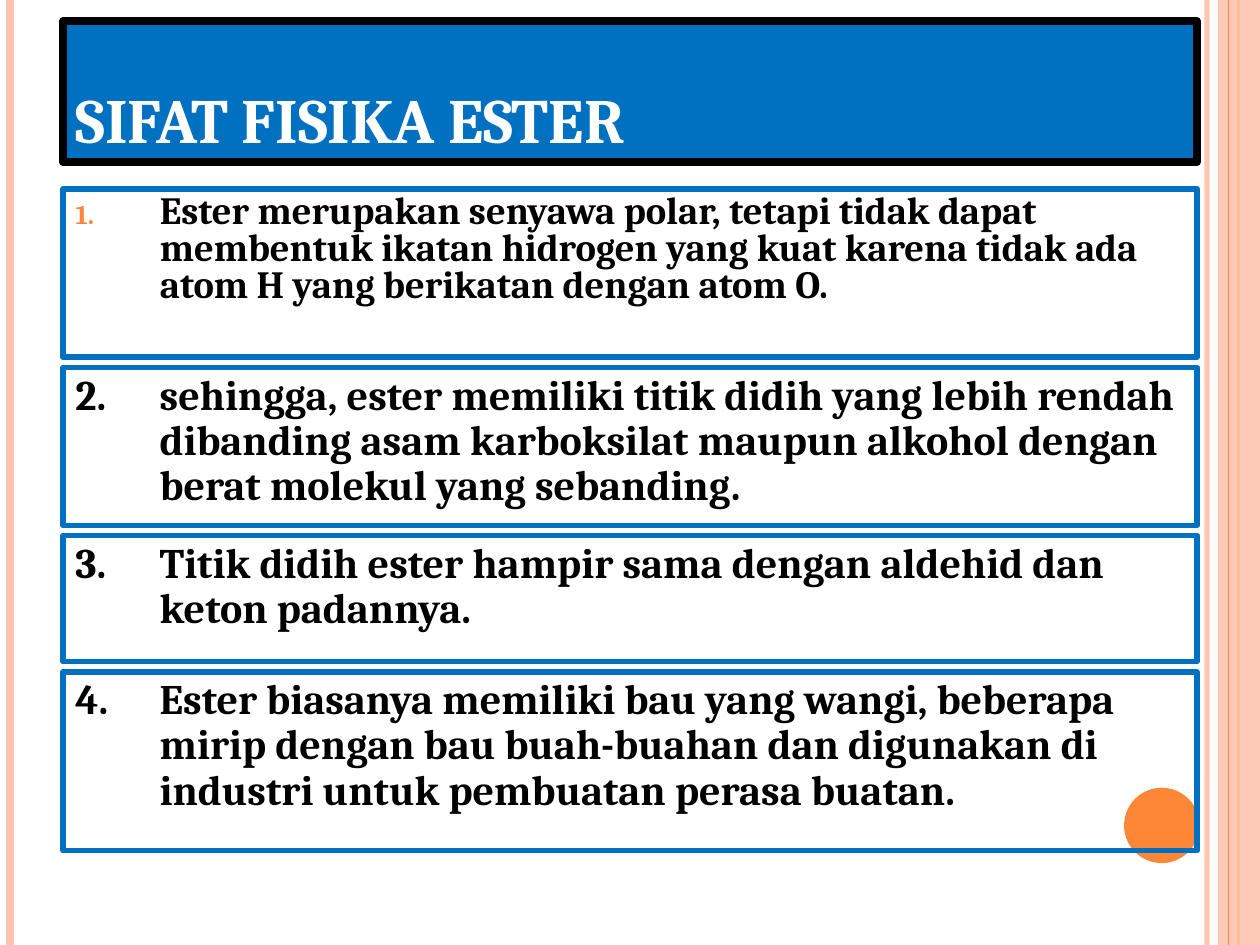
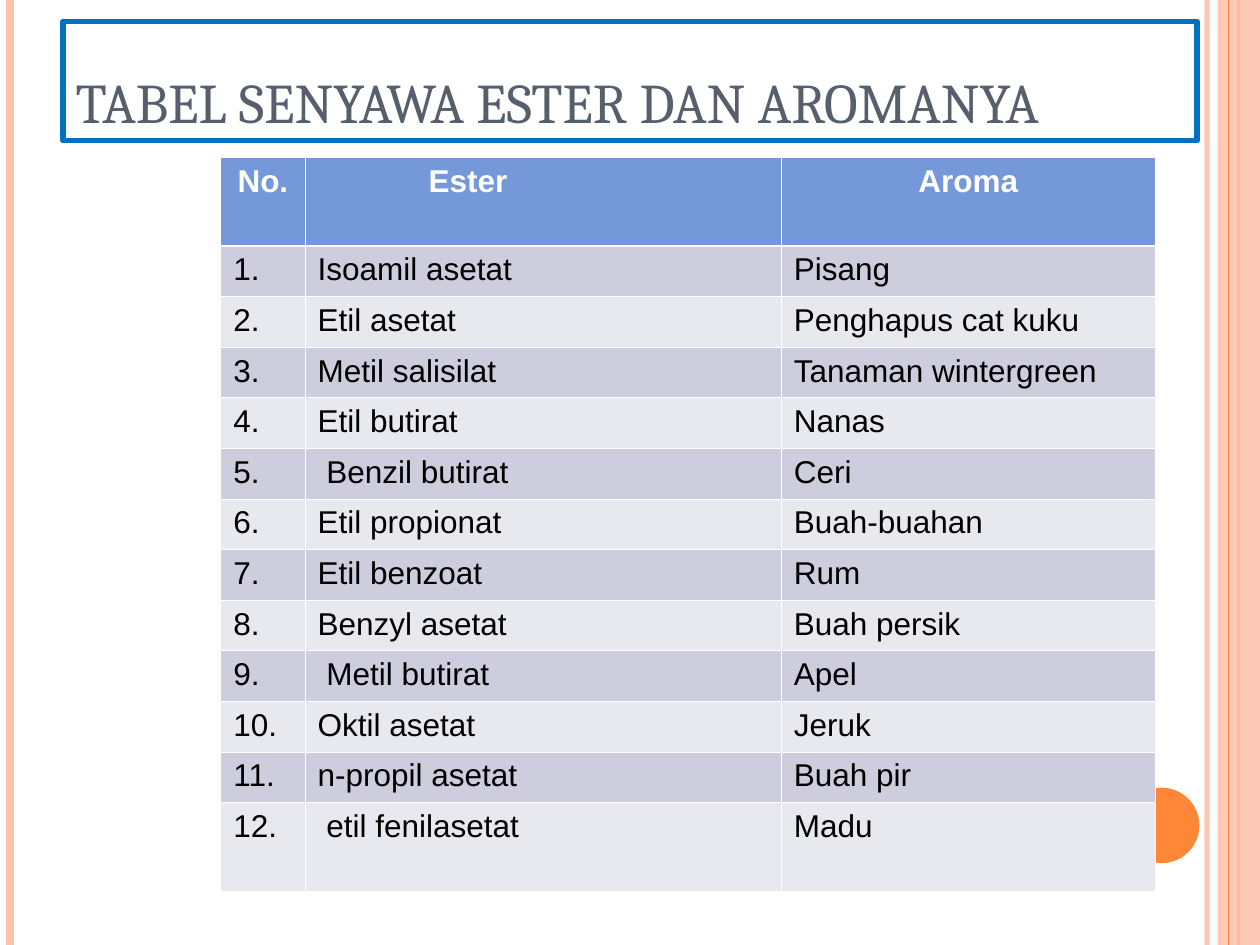
from lxml.etree import SubElement as Sub
from pptx import Presentation
from pptx.dml.color import RGBColor
from pptx.enum.shapes import MSO_CONNECTOR as Link, MSO_SHAPE as Form
from pptx.enum.text import MSO_ANCHOR as Anchor, MSO_AUTO_SIZE as Auto, PP_ALIGN as Align
from pptx.oxml.ns import qn
from pptx.util import Cm, Pt

WIDE, HIGH = 25.4, 19.05
LEFT, SPAN, GAP = 1.27, 22.86, 0.21
BLUE, BLACK, WHITE, GREY = "0070C0", "000000", "FFFFFF", "575F6D"
PEACH, ORANGE = "FEC3AE", "FE8637"
HEAD, DARK, PALE = "7598D9", "CDCDDE", "E8E8EF"

FACTS = [
    (3.39, "Ester merupakan senyawa polar, tetapi tidak dapat membentuk ikatan "
           "hidrogen yang kuat karena tidak ada atom H yang berikatan dengan atom O."),
    (3.18, "sehingga, ester memiliki titik didih yang lebih rendah dibanding asam "
           "karboksilat maupun alkohol dengan berat molekul yang sebanding."),
    (2.54, "Titik didih ester hampir sama dengan aldehid dan keton padannya."),
    (3.6, "Ester biasanya memiliki bau yang wangi, beberapa mirip dengan bau "
          "buah-buahan dan digunakan di industri untuk pembuatan perasa buatan."),
]
ESTERS = [
    ("Isoamil asetat", "Pisang"),
    ("Etil asetat", "Penghapus cat kuku"),
    ("Metil salisilat", "Tanaman wintergreen"),
    ("Etil butirat", "Nanas"),
    (" Benzil butirat", "Ceri"),
    ("Etil propionat", "Buah-buahan"),
    ("Etil benzoat", "Rum"),
    ("Benzyl asetat", "Buah persik"),
    (" Metil butirat", "Apel"),
    ("Oktil asetat", "Jeruk"),
    ("n-propil asetat", "Buah pir"),
    (" etil fenilasetat", "Madu"),
]


def rgb(code):
    return RGBColor.from_string(code)


def fill(part, code):
    part.fill.solid()
    part.fill.fore_color.rgb = rgb(code)


def edge(shape, code, width):
    shape.line.color.rgb = rgb(code)
    shape.line.width = Pt(width)


def fade(part, share):
    tint = part.find(".//" + qn("a:srgbClr"))
    Sub(tint, qn("a:alpha"), val=str(share * 1000))


def text(frame, words, size=24, font="Cambria", color=BLACK, bold=False,
         align=Align.LEFT, space=None, before=0):
    par = frame.paragraphs[0]
    par.alignment = align
    par.space_before = Pt(before)
    if space:
        par.line_spacing = space
    run = par.add_run()
    run.text = words
    run.font.size = Pt(size)
    run.font.name = font
    run.font.bold = bold
    run.font.color.rgb = rgb(color)
    return par


def number(par, start, color, size):
    prop = par._p.get_or_add_pPr()
    prop.set("marL", str(Cm(1.7)))
    prop.set("indent", str(Cm(-1.7)))
    Sub(Sub(prop, qn("a:buClr")), qn("a:srgbClr"), val=color)
    Sub(prop, qn("a:buSzPct"), val=str(size * 1000))
    Sub(prop, qn("a:buFont"), typeface="Cambria")
    Sub(prop, qn("a:buAutoNum"), type="arabicPeriod", startAt=str(start))


def place(shape, top, high):
    shape.left, shape.top = Cm(LEFT), Cm(top)
    shape.width, shape.height = Cm(SPAN), Cm(high)
    frame = shape.text_frame
    frame.word_wrap = True
    frame.auto_size = Auto.NONE
    return frame


def title(slide, words, high, line, width, back=None, **style):
    shape = slide.shapes.title
    frame = place(shape, 0.43, high)
    frame.vertical_anchor = Anchor.BOTTOM
    edge(shape, line, width)
    if back:
        fill(shape, back)
    text(frame, words, **style)


def stripe(slide, x, color, width):
    line = slide.shapes.add_connector(Link.STRAIGHT, Cm(x), 0, Cm(x), Cm(HIGH))
    edge(line, color, width)
    Sub(line.element.spPr, qn("a:effectLst"))
    return line


def solid(slide, form, x, y, wide, high, color):
    shape = slide.shapes.add_shape(form, Cm(x), Cm(y), Cm(wide), Cm(high))
    shape.shadow.inherit = False
    fill(shape, color)
    shape.line.fill.background()
    return shape


def adorn(deck, slide):
    rail = stripe(slide, 24.33, PEACH, 3)
    fade(rail.element, 93)
    side = stripe(slide, 0.21, PEACH, 4.5)
    rule = stripe(slide, 24.97, ORANGE, 1.5)
    band = solid(slide, Form.RECTANGLE, 24.55, 0, 0.85, HIGH, PEACH)
    fade(band.element, 87)
    thin = stripe(slide, 24.77, ORANGE, 0.75)
    disc = solid(slide, Form.OVAL, 22.66, 15.88, 1.52, 1.52, ORANGE)
    tree = deck.slide_master.shapes.element
    for mark, shape in enumerate((rail, side, rule, band, thin, disc), 20):
        shape.element.find(".//" + qn("p:cNvPr")).set("id", str(mark))
        tree.append(shape.element)


def facts(slide):
    top = 3.81
    for order, (high, words) in enumerate(FACTS, 1):
        first = order == 1
        box = slide.placeholders[1] if first else slide.shapes.add_textbox(0, 0, 0, 0)
        frame = place(box, top, high)
        edge(box, BLUE, 3)
        par = text(frame, words, size=22 if first else 24, bold=True,
                   space=0.8 if first else 0.9, before=6)
        number(par, order, ORANGE if first else BLACK, 70 if first else 100)
        top += high + GAP


def border(cell, row):
    prop = cell._tc.get_or_add_tcPr()
    for side in "LRTB":
        thick = (row, side) in ((0, "B"), (1, "T"))
        line = Sub(prop, qn("a:ln" + side), w=str(Pt(1.47 if thick else 0.45)))
        Sub(Sub(line, qn("a:solidFill")), qn("a:srgbClr"), val=WHITE)


def grid(slide):
    rows = [("No.", "Ester", "Aroma")]
    rows += [(f"{n}.", *pair) for n, pair in enumerate(ESTERS, 1)]
    cols = (1.7, 9.6, 7.54)
    last = len(rows) - 1
    table = slide.shapes.add_table(len(rows), len(cols), Cm(4.45), Cm(3.18),
                                   Cm(sum(cols)), Cm(14.78)).table
    for col, wide in zip(table.columns, cols):
        col.width = Cm(wide)
    for r, row in enumerate(rows):
        table.rows[r].height = Cm(1.78 if r in (0, last) else 1.02)
        for c, words in enumerate(row):
            cell = table.cell(r, c)
            border(cell, r)
            fill(cell, HEAD if r == 0 else DARK if r % 2 else PALE)
            text(cell.text_frame, words, size=18, font="Arial", bold=r == 0,
                 color=BLACK if r else WHITE,
                 align=Align.LEFT if r else Align.CENTER)
    table.cell(0, 1).margin_right = Cm(3.28)


def main():
    deck = Presentation()
    deck.slide_width, deck.slide_height = Cm(WIDE), Cm(HIGH)

    slide = deck.slides.add_slide(deck.slide_layouts[1])
    adorn(deck, slide)
    title(slide, "SIFAT FISIKA ESTER", 2.84, BLACK, 4.5, back=BLUE,
          size=36, color=WHITE, bold=True)
    facts(slide)

    slide = deck.slides.add_slide(deck.slide_layouts[5])
    title(slide, "TABEL SENYAWA ESTER DAN AROMANYA", 2.41, BLUE, 3,
          size=32, color=GREY)
    grid(slide)

    deck.save("out.pptx")


if __name__ == "__main__":
    main()
